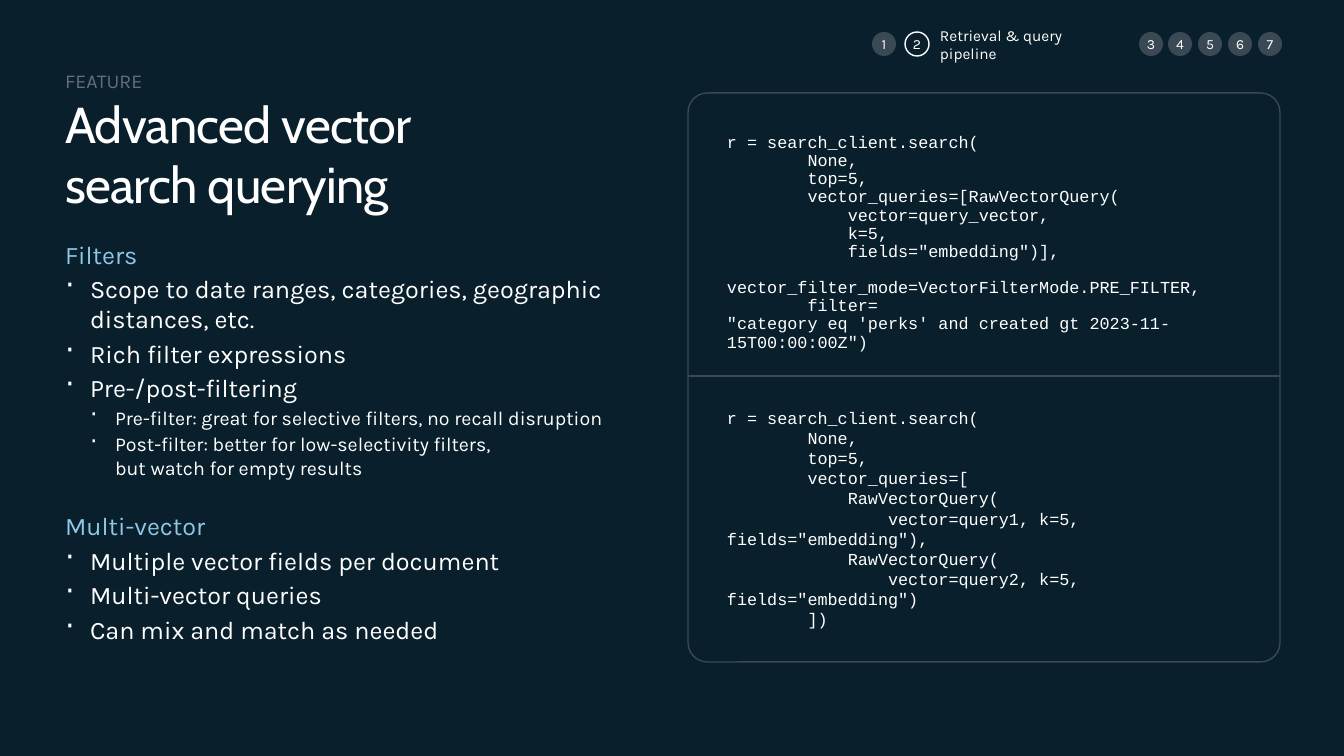
import copy
from dataclasses import dataclass
from typing import Any, Optional

import pptx
import pptx.dml.color
import pptx.enum.shapes
import pptx.enum.text
import pptx.oxml.ns
import pptx.slide
import pptx.util
from lxml import etree

EMU_PER_PX = 914400 / 100.8
ANCHOR = pptx.enum.text.MSO_ANCHOR
SHAPE = pptx.enum.shapes.MSO_SHAPE
qn = pptx.oxml.ns.qn


@dataclass(frozen=True)
class Theme:
    background: str = "091F2C"
    muted: str = "3A4953"
    white: str = "FFFFFF"
    heading: str = "8DC8E8"
    eyebrow: str = "657076"
    title_font: str = "Cabin"
    body_font: str = "Karla"
    code_font: str = "Courier New"
    title_size: int = 36
    body_size: int = 18
    small_size: int = 14
    code_size: int = 12
    label_size: int = 11
    badge_size: int = 10


@dataclass(frozen=True)
class Box:
    left: int
    top: int
    width: int
    height: int


@dataclass(frozen=True)
class Style:
    font: str
    size: int
    color: str
    tracking: int = 0


@dataclass(frozen=True)
class Line:
    text: str
    style: Style
    level: int = 0  # 0 is a line without a bullet
    before: float = 0
    spacing: float = 1.0


@dataclass(frozen=True)
class Step:
    number: int
    left: int
    current: bool = False


THEME = Theme()
TITLE = Style(THEME.title_font, THEME.title_size, THEME.white, -50)
EYEBROW = Style(THEME.body_font, THEME.small_size, THEME.eyebrow)
HEADING = Style(THEME.body_font, THEME.body_size, THEME.heading)
BODY = Style(THEME.body_font, THEME.body_size, THEME.white)
SMALL = Style(THEME.body_font, THEME.small_size, THEME.white)
CODE = Style(THEME.code_font, THEME.code_size, THEME.white)
LABEL = Style(THEME.body_font, THEME.label_size, THEME.white)
BADGE = Style(THEME.body_font, THEME.badge_size, THEME.white)

TOPICS = [
    Line("Filters", HEADING),
    Line("Scope to date ranges, categories, geographic\vdistances, etc.", BODY, 1, 3),
    Line("Rich filter expressions", BODY, 1, 3),
    Line("Pre-/post-filtering", BODY, 1, 3),
    Line("Pre-filter: great for selective filters, no recall disruption", SMALL, 2, 2),
    Line("Post-filter: better for low-selectivity filters,\vbut watch for empty results", SMALL, 2, 2),
    Line("Multi-vector", HEADING, 0, 22.5),
    Line("Multiple vector fields per document", BODY, 1, 3),
    Line("Multi-vector queries", BODY, 1, 3),
    Line("Can mix and match as needed", BODY, 1, 3),
]

FILTER_CODE = """r = search_client.search(
        None,
        top=5,
        vector_queries=[RawVectorQuery(
            vector=query_vector,
            k=5,
            fields="embedding")],
        vector_filter_mode=VectorFilterMode.PRE_FILTER,
        filter=
"category eq 'perks' and created gt 2023-11-15T00:00:00Z")"""

MULTI_VECTOR_CODE = """r = search_client.search(
        None,
        top=5,
        vector_queries=[
            RawVectorQuery(
                vector=query1, k=5, fields="embedding"),
            RawVectorQuery(
                vector=query2, k=5, fields="embedding")
        ])"""

STEPS = [Step(1, 872), Step(2, 905, True)]
STEPS += [Step(3 + i, 1139 + 119 * i // 4) for i in range(5)]


def px(length: float) -> int:
    return round(length * EMU_PER_PX)


def rgb(color: str) -> pptx.dml.color.RGBColor:
    return pptx.dml.color.RGBColor.from_string(color)


def place(box: Box) -> tuple[int, ...]:
    return tuple(px(n) for n in (box.left, box.top, box.width, box.height))


def apply(target: Any, values: dict[str, Any]) -> None:
    for name, value in values.items():
        setattr(target, name, value)


def add_bullet(paragraph: Any, level: int) -> None:
    props = paragraph._p.get_or_add_pPr()
    props.set("marL", str(px(25 * level)))
    props.set("indent", str(-px(25)))
    color = etree.SubElement(props, qn("a:buClr"))
    etree.SubElement(color, qn("a:srgbClr"), val=THEME.white)
    etree.SubElement(props, qn("a:buSzPct"), val="120000")
    etree.SubElement(props, qn("a:buChar"), char="·")


def write(frame: Any, lines: list[Line], margins: tuple[int, int, int, int] = (0, 0, 0, 0),
          anchor: Any = ANCHOR.TOP, align: Any = pptx.enum.text.PP_ALIGN.LEFT) -> None:
    sides = ("margin_left", "margin_top", "margin_right", "margin_bottom")
    apply(frame, {"word_wrap": True, "vertical_anchor": anchor,
                  **dict(zip(sides, map(px, margins)))})
    for index, line in enumerate(lines):
        paragraph = frame.add_paragraph() if index else frame.paragraphs[0]
        paragraph.text = line.text
        if line.level:
            add_bullet(paragraph, line.level)
        apply(paragraph, {"alignment": align, "line_spacing": line.spacing,
                          "level": max(line.level - 1, 0)})
        if line.before:
            paragraph.space_before = pptx.util.Pt(line.before)
        for run in paragraph.runs:
            apply(run.font, {"name": line.style.font, "size": pptx.util.Pt(line.style.size)})
            run.font.color.rgb = rgb(line.style.color)
            if line.style.tracking:
                run.font._element.set("spc", str(line.style.tracking))
        # Line breaks take the type size of their paragraph
        for line_break in paragraph._p.findall(qn("a:br")):
            line_break.append(copy.deepcopy(paragraph.runs[0].font._element))


def add_text(slide: pptx.slide.Slide, box: Box, lines: list[Line], **layout: Any) -> None:
    write(slide.shapes.add_textbox(*place(box)).text_frame, lines, **layout)


def add_code(slide: pptx.slide.Slide, box: Box, code: str, spacing: float, anchor: Any) -> None:
    lines = [Line(text, CODE, spacing=spacing) for text in code.splitlines()]
    add_text(slide, box, lines, margins=(12, 8, 12, 8), anchor=anchor)


def add_outline(line: Any, color: str) -> None:
    line.color.rgb = rgb(color)
    line.width = pptx.util.Pt(1)


def add_code_panel(slide: pptx.slide.Slide, box: Box, divider: int) -> None:
    panel = slide.shapes.add_shape(SHAPE.ROUNDED_RECTANGLE, *place(box))
    panel.adjustments[0] = 0.034
    panel.shadow.inherit = False
    panel.fill.background()
    add_outline(panel.line, THEME.muted)
    rule = slide.shapes.add_connector(
        pptx.enum.shapes.MSO_CONNECTOR.STRAIGHT,
        px(box.left), px(divider), px(box.left + box.width), px(divider))
    add_outline(rule.line, THEME.muted)
    etree.SubElement(rule._element.spPr, qn("a:effectLst"))


def add_step(slide: pptx.slide.Slide, step: Step) -> None:
    badge = slide.shapes.add_shape(SHAPE.OVAL, *place(Box(step.left, 32, 24, 24)))
    badge.shadow.inherit = False
    badge.fill.solid()
    badge.fill.fore_color.rgb = rgb(THEME.background if step.current else THEME.muted)
    if step.current:
        add_outline(badge.line, THEME.white)
    else:
        badge.line.fill.background()
    write(badge.text_frame, [Line(str(step.number), BADGE)], anchor=ANCHOR.MIDDLE,
          align=pptx.enum.text.PP_ALIGN.CENTER)


def main() -> None:
    deck = pptx.Presentation()
    apply(deck, {"slide_width": px(1344), "slide_height": px(756)})
    slide = deck.slides.add_slide(deck.slide_layouts[6])
    slide.background.fill.solid()
    slide.background.fill.fore_color.rgb = rgb(THEME.background)

    # Code samples
    add_code_panel(slide, Box(688, 93, 592, 569), 376)
    add_code(slide, Box(715, 126, 537, 243), FILTER_CODE, 0.9, ANCHOR.TOP)
    add_code(slide, Box(715, 395, 537, 247), MULTI_VECTOR_CODE, 1.0, ANCHOR.MIDDLE)

    # Title and topics
    add_text(slide, Box(65, 69, 592, 24), [Line("FEATURE", EYEBROW)])
    add_text(slide, Box(65, 93, 592, 122), [Line("Advanced vector\vsearch querying", TITLE)])
    add_text(slide, Box(65, 239, 592, 423), TOPICS)

    # Progress tracker
    for step in STEPS:
        add_step(slide, step)
    add_text(slide, Box(928, 35, 194, 19), [Line("Retrieval & query pipeline", LABEL)],
             margins=(12, 0, 12, 0), anchor=ANCHOR.MIDDLE)

    deck.save("out.pptx")


if __name__ == "__main__":
    main()
